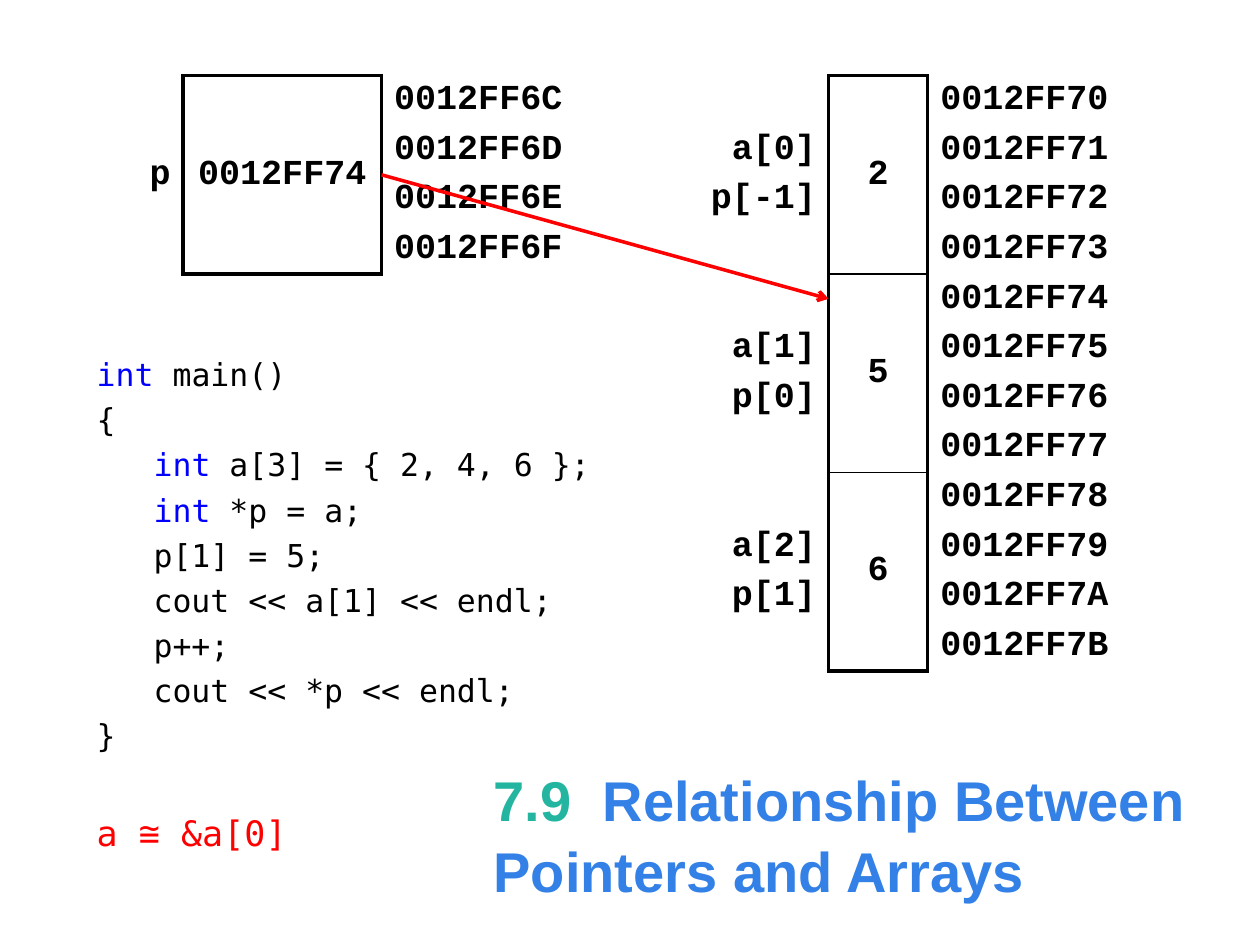
from lxml import etree
from pptx import Presentation
from pptx.dml.color import RGBColor
from pptx.enum.shapes import MSO_CONNECTOR
from pptx.enum.text import MSO_ANCHOR, PP_ALIGN
from pptx.oxml.ns import qn
from pptx.util import Pt

LEFT, CENTER, RIGHT = PP_ALIGN.LEFT, PP_ALIGN.CENTER, PP_ALIGN.RIGHT
TOP, MIDDLE = MSO_ANCHOR.TOP, MSO_ANCHOR.MIDDLE
STRAIGHT = MSO_CONNECTOR.STRAIGHT

BLACK = RGBColor(0x00, 0x00, 0x00)
BLUE = RGBColor(0x00, 0x00, 0xFF)
RED = RGBColor(0xFF, 0x00, 0x00)
TEAL = RGBColor(0x24, 0xB5, 0xA1)
TITLE_BLUE = RGBColor(0x33, 0x80, 0xE6)

TITLE = [("7.9  ", TEAL), ("Relationship Between Pointers and Arrays", TITLE_BLUE)]
CODE = [
    [("int", BLUE), (" main()", BLACK)],
    [("{", BLACK)],
    [("   ", BLACK), ("int", BLUE), (" a[3] = { 2, 4, 6 };", BLACK)],
    [("   ", BLACK), ("int", BLUE), (" *p = a;", BLACK)],
    [("   p[1] = 5;", BLACK)],
    [("   cout << a[1] << endl;", BLACK)],
    [("   p++;", BLACK)],
    [("   cout << *p << endl;", BLACK)],
    [("}", BLACK)],
]
EQUIVALENCE = [("a ≅ &a[0]", RED)]
ELEMENTS = [("2", "a[0]", "p[-1]"), ("5", "a[1]", "p[0]"), ("6", "a[2]", "p[1]")]
POINTER_NAME, POINTER_VALUE = "p", "0012FF74"
POINTER_START, ARRAY_START = 0x0012FF6C, 0x0012FF70

BYTES = 4  # table rows per stored value
ROW = 28.35  # one centimetre
MEMORY_TOP = 43.2
POINTER_LEFT, POINTER_COLUMNS = 76.3, (ROW, 4 * ROW, 4 * ROW)
ARRAY_LEFT, ARRAY_COLUMNS = 388.4, (3 * ROW, 2 * ROW, 4 * ROW)
THICK, THIN = 2.25, 1
NO_GRID_STYLE = "{2D5ABB26-0587-4C30-8999-92F81FD0307C}"


def add_runs(paragraph, runs, font_name, size, bold=False):
    for text, color in runs:
        run = paragraph.add_run()
        run.text = text
        run.font.name, run.font.size, run.font.bold = font_name, Pt(size), bold
        run.font.color.rgb = color


def add_text_frame(slide, left, top, width, height, anchor):
    frame = slide.shapes.add_textbox(Pt(left), Pt(top), Pt(width), Pt(height)).text_frame
    frame.word_wrap = True
    frame.vertical_anchor = anchor
    return frame


def style_cell(cell, text="", align=LEFT, **borders):
    """Fill in one cell; borders maps the sides L, R, T, B to widths in points."""
    cell.margin_top = cell.margin_bottom = Pt(1.5)
    cell.vertical_anchor = MIDDLE
    properties = cell._tc.get_or_add_tcPr()
    for side in "LRTB":
        if side in borders:
            line = etree.SubElement(properties, qn(f"a:ln{side}"), w=str(Pt(borders[side])))
            fill = etree.SubElement(line, qn("a:solidFill"))
            etree.SubElement(fill, qn("a:srgbClr"), val=str(BLACK))
    cell.fill.background()
    paragraph = cell.text_frame.paragraphs[0]
    paragraph.alignment = align
    paragraph.font.size = Pt(16)
    if text:
        add_runs(paragraph, [(text, BLACK)], "Courier New", 20, True)


def add_memory_table(slide, left, columns, values, start):
    """Add a table of byte rows: labels, boxed values, byte addresses."""
    count = len(values) * BYTES
    frame = slide.shapes.add_table(
        count, len(columns), Pt(left), Pt(MEMORY_TOP), Pt(sum(columns)), Pt(count * ROW))
    table = frame.table
    table.first_row = table.horz_banding = False
    table._tbl.tblPr.find(qn("a:tableStyleId")).text = NO_GRID_STYLE
    for column, width in zip(table.columns, columns):
        column.width = Pt(width)
    for row in range(count):
        table.rows[row].height = Pt(ROW)
        style_cell(table.cell(row, 2), f"{start + row:08X}", L=THICK)

    for index, value in enumerate(values):
        first, last = index * BYTES, (index + 1) * BYTES - 1
        upper = THICK if index == 0 else THIN
        lower = THICK if index == len(values) - 1 else THIN
        table.cell(first, 1).merge(table.cell(last, 1))
        style_cell(table.cell(first, 1), value, CENTER, L=THICK, R=THICK, T=upper, B=lower)
        for row in range(first + 1, last):
            style_cell(table.cell(row, 1), L=THICK, R=THICK)
        style_cell(table.cell(last, 1), L=THICK, R=THICK, B=lower)
    return table


prs = Presentation()
prs.slide_width, prs.slide_height = Pt(720), Pt(540)
slide = prs.slides.add_slide(prs.slide_layouts[6])

title = add_text_frame(slide, 275, 426.2, 411, 99.4, MIDDLE).paragraphs[0]
title.line_spacing = 1.05
add_runs(title, TITLE, "Arial", 32, True)

code = add_text_frame(slide, 48.2, 199.4, 297.4, 297.4, TOP)
for number, runs in enumerate(CODE):
    paragraph = code.add_paragraph() if number else code.paragraphs[0]
    if number:
        paragraph.space_before = Pt(4.2)
    add_runs(paragraph, runs, "DejaVu Sans Mono", 18)
equivalence = code.add_paragraph()
equivalence.space_before = Pt(32.6)
add_runs(equivalence, EQUIVALENCE, "DejaVu Sans Mono", 20)

array = add_memory_table(
    slide, ARRAY_LEFT, ARRAY_COLUMNS, [element[0] for element in ELEMENTS], ARRAY_START)
for index, (_, array_label, pointer_label) in enumerate(ELEMENTS):
    for offset, label in enumerate(("", array_label, pointer_label, "")):
        style_cell(array.cell(index * BYTES + offset, 0), label, RIGHT, R=THICK)

pointer = add_memory_table(
    slide, POINTER_LEFT, POINTER_COLUMNS, [POINTER_VALUE], POINTER_START)
pointer.cell(0, 0).merge(pointer.cell(BYTES - 1, 0))
for row in range(BYTES):
    style_cell(pointer.cell(row, 0), "" if row else POINTER_NAME, RIGHT, R=THICK)

target_row = int(POINTER_VALUE, 16) - ARRAY_START
arrow = slide.shapes.add_connector(
    STRAIGHT,
    Pt(POINTER_LEFT + sum(POINTER_COLUMNS[:2])), Pt(MEMORY_TOP + BYTES / 2 * ROW),
    Pt(ARRAY_LEFT + ARRAY_COLUMNS[0]), Pt(MEMORY_TOP + (target_row + 0.5) * ROW))
arrow.line.color.rgb = RED
arrow.line.width = Pt(2)
etree.SubElement(arrow.line._get_or_add_ln(), qn("a:tailEnd"), type="arrow")
etree.SubElement(arrow._element.spPr, qn("a:effectLst"))

prs.save("out.pptx")
